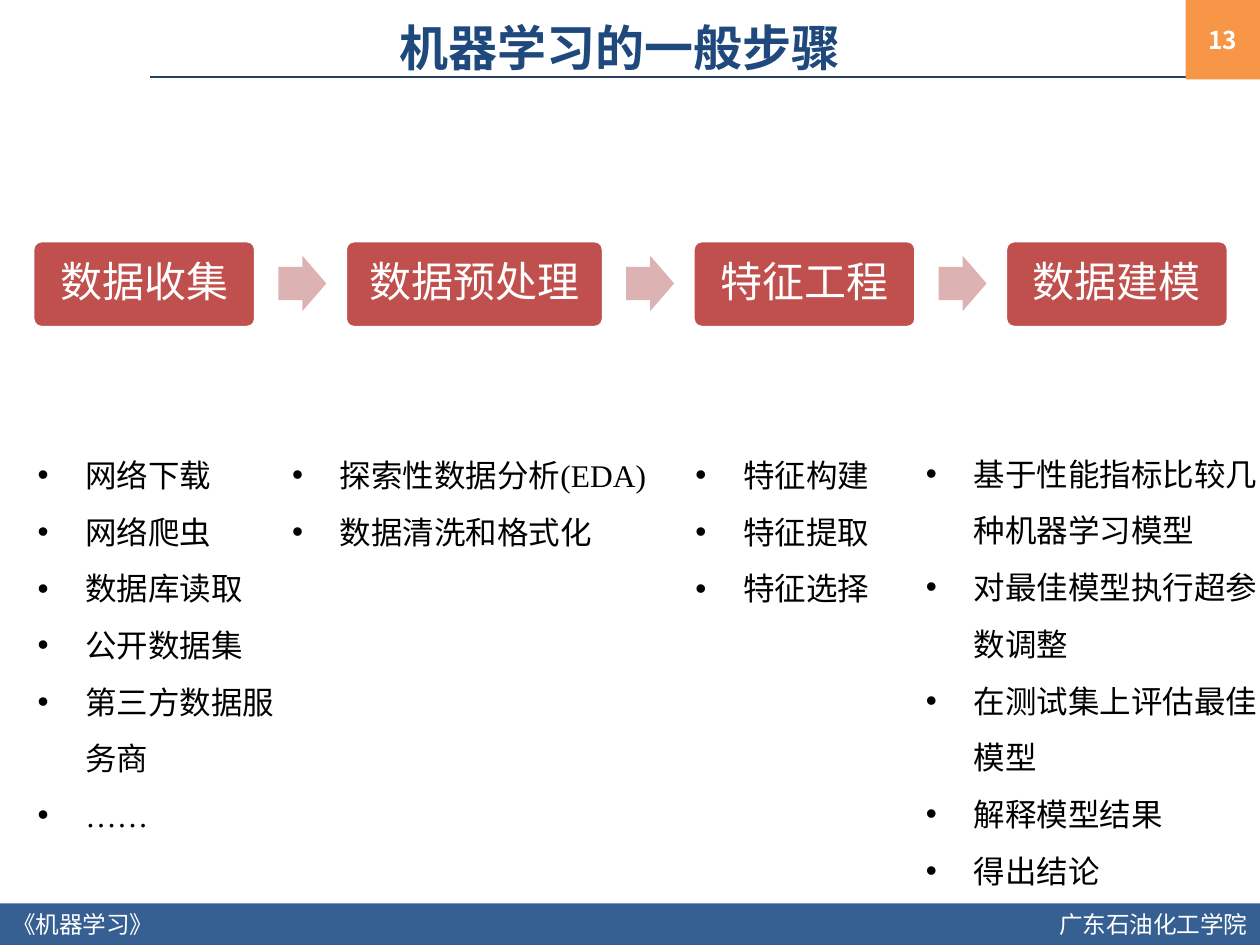
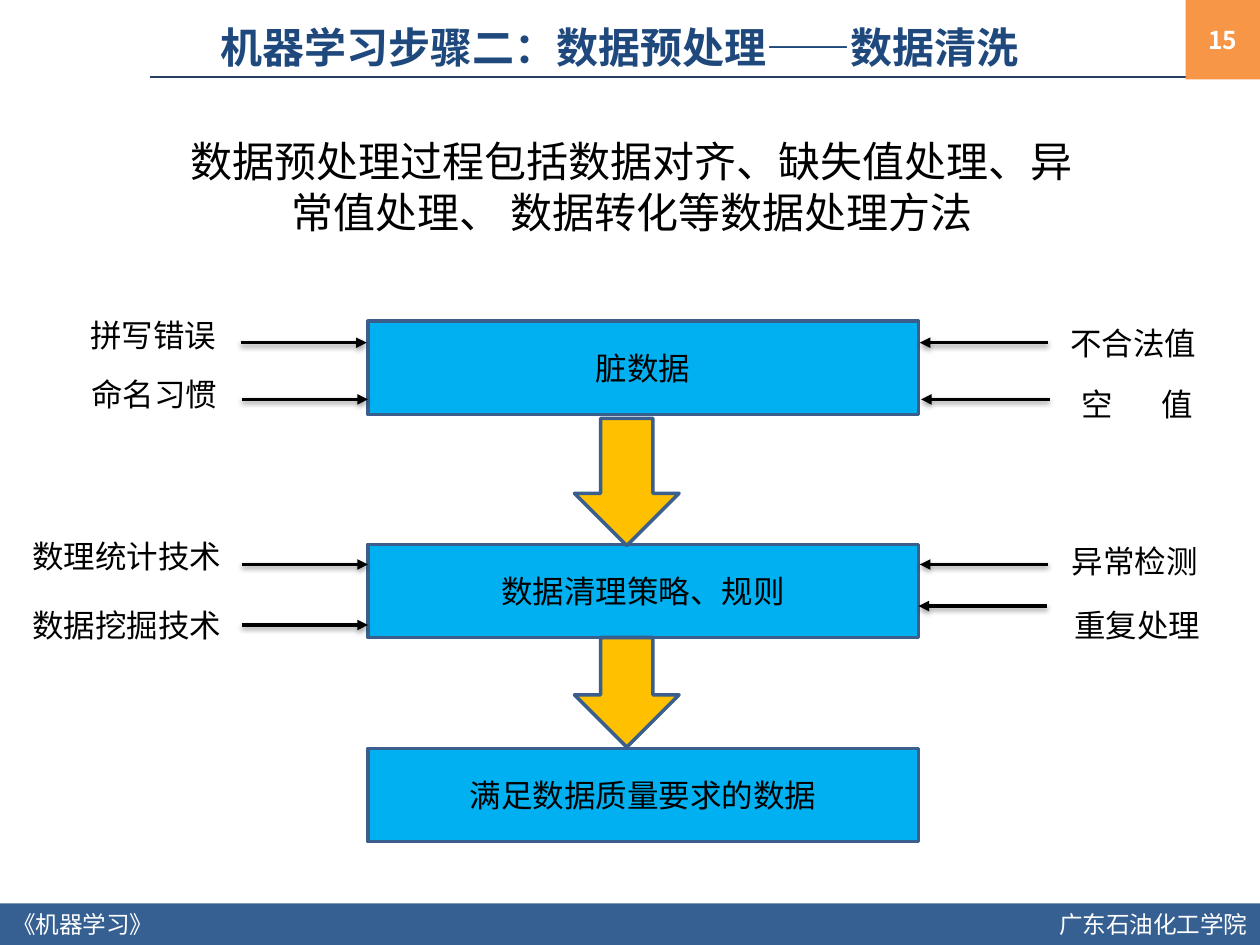
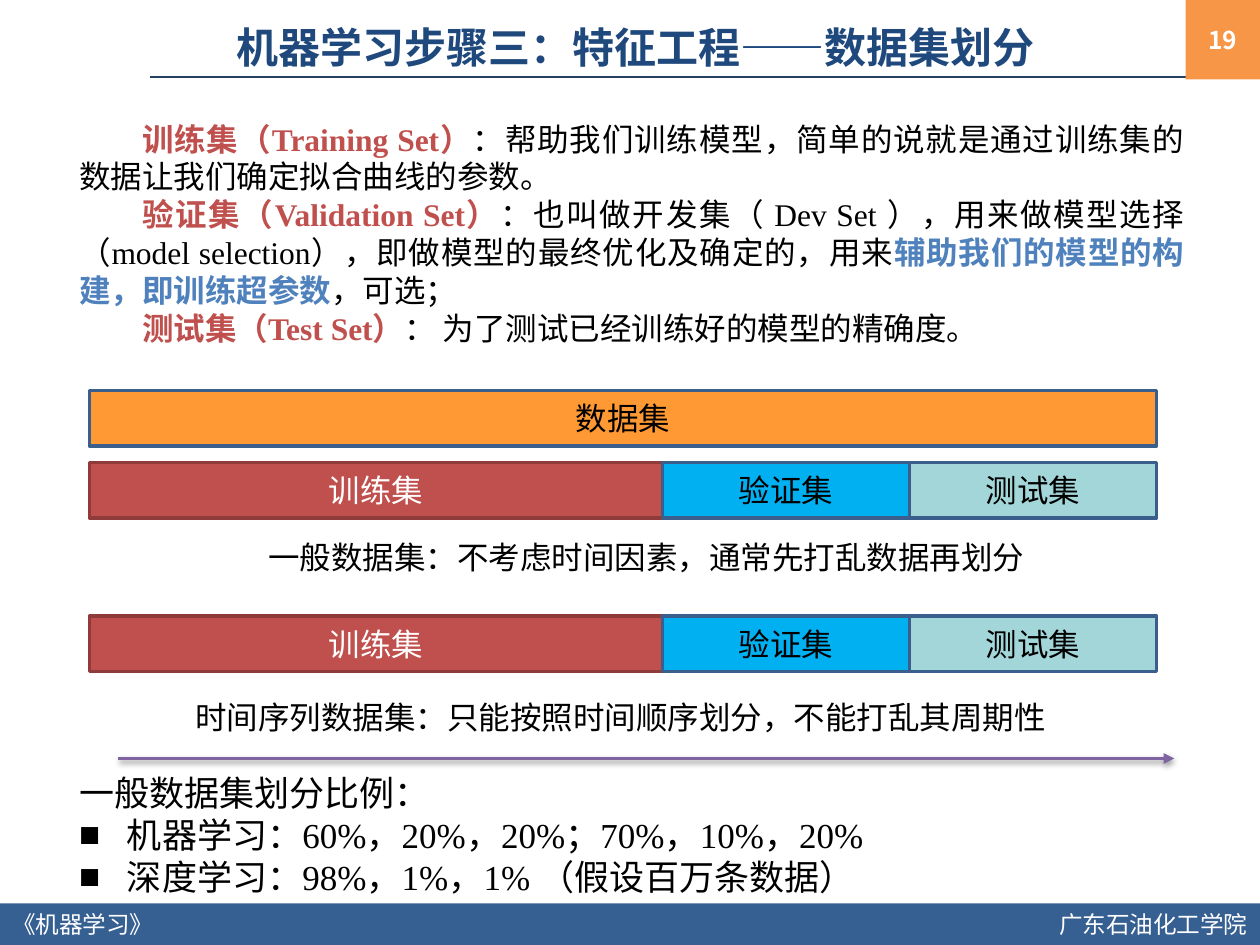
from dataclasses import dataclass

from lxml.etree import SubElement
from pptx import Presentation
from pptx.dml.color import RGBColor
from pptx.enum.shapes import MSO_CONNECTOR, MSO_SHAPE
from pptx.enum.text import MSO_ANCHOR, PP_ALIGN
from pptx.oxml.ns import qn
from pptx.util import Inches, Pt


@dataclass(frozen=True)
class Theme:
    sans: str = "Noto Sans CJK SC"
    serif: str = "Times New Roman"
    plain: str = "Arial"
    black: str = "000000"
    white: str = "FFFFFF"
    navy: str = "1F497D"
    rule: str = "254061"
    band: str = "376092"
    orange: str = "F79646"
    red: str = "C0504D"
    dark_red: str = "8E3B39"
    pink: str = "DCB3B2"
    sky: str = "00B0F0"
    outline: str = "3A5F8C"
    gold: str = "FFC000"
    amber: str = "FF9933"
    aqua: str = "A3D6D9"
    blue: str = "4F81BD"
    purple: str = "8064A2"
    title_size: float = 28
    heading_size: float = 24
    ratio_size: float = 20
    body_size: float = 18
    number_size: float = 14
    footer_size: float = 13.5


theme = Theme()
LEFT, CENTER, RIGHT, JUSTIFY = PP_ALIGN.LEFT, PP_ALIGN.CENTER, PP_ALIGN.RIGHT, PP_ALIGN.JUSTIFY
TOP, MIDDLE = MSO_ANCHOR.TOP, MSO_ANCHOR.MIDDLE


def add_box(page, place, paragraphs=(), kind=None, fill=None, line=None, font=theme.sans,
            size=theme.body_size, color=theme.black, bold=False, align=CENTER, anchor=MIDDLE,
            spacing=None, bullet=None, first_indent=0, side=0.1):
    """A paragraph is a string or a list of (text, format) spans."""
    position = [Inches(value) for value in place]
    if kind is None:
        box = page.shapes.add_textbox(*position)
    else:
        box = page.shapes.add_shape(kind, *position)
        box.shadow.inherit = False
        box.fill.solid()
        box.fill.fore_color.rgb = RGBColor.from_string(fill)
        if line:
            box.line.color.rgb = RGBColor.from_string(line)
            box.line.width = Pt(2)
        else:
            box.line.fill.background()
    frame = box.text_frame
    frame_format = {"word_wrap": True, "vertical_anchor": anchor,
                    "margin_left": Inches(side), "margin_right": Inches(side)}
    for name, value in frame_format.items():
        setattr(frame, name, value)

    for index, spans in enumerate(paragraphs):
        para = frame.add_paragraph() if index else frame.paragraphs[0]
        para.alignment = align
        if spacing:
            para.line_spacing = spacing
        properties = para._p.get_or_add_pPr()
        if first_indent:
            properties.set("indent", str(Inches(first_indent)))
        # A paragraph made of spans stands without a bullet
        if bullet and isinstance(spans, str):
            properties.set("marL", str(Inches(0.38)))
            properties.set("indent", str(Inches(-0.38)))
            SubElement(properties, qn("a:buFont")).set("typeface", theme.plain)
            SubElement(properties, qn("a:buChar")).set("char", bullet)
        for text, style in [(spans, {})] if isinstance(spans, str) else spans:
            span = para.add_run()
            span.text = text
            span_format = {"name": font, "size": Pt(size), "bold": style.get("bold", bold)}
            for name, value in span_format.items():
                setattr(span.font, name, value)
            span.font.color.rgb = RGBColor.from_string(style.get("color", color))
            run_properties = span._r.get_or_add_rPr()
            SubElement(run_properties, qn("a:ea")).set("typeface", theme.sans)
            if "tracking" in style:
                run_properties.set("spc", str(style["tracking"] * 100))
    return box


def add_line(page, start, end, color, width=2, arrow=False):
    points = [Inches(value) for value in (*start, *end)]
    connector = page.shapes.add_connector(MSO_CONNECTOR.STRAIGHT, *points)
    connector.line.color.rgb = RGBColor.from_string(color)
    connector.line.width = Pt(width)
    properties = connector._element.spPr
    if arrow:
        SubElement(properties.find(qn("a:ln")), qn("a:tailEnd")).set("type", "triangle")
    effects = SubElement(properties, qn("a:effectLst"))
    if arrow:
        shadow = SubElement(effects, qn("a:outerShdw"), blurRad=str(Pt(3.1)),
                            dist=str(Pt(1.6)), dir="5400000", rotWithShape="0")
        shade = SubElement(shadow, qn("a:srgbClr"), val=theme.black)
        SubElement(shade, qn("a:alpha"), val="38000")


deck = Presentation()
deck.slide_width = Inches(10)
deck.slide_height = Inches(7.5)

# Footer, title, rule and page number on every slide
pages = []
for number, title, title_size, title_font, title_left in (
    ("13", "机器学习的一般步骤", theme.title_size, theme.serif, 0.42),
    ("15", "机器学习步骤二：数据预处理——数据清洗", theme.heading_size, theme.sans, 0.42),
    ("19", "机器学习步骤三：特征工程——数据集划分", theme.heading_size, theme.sans, 0.67),
):
    page = deck.slides.add_slide(deck.slide_layouts[6])
    footer = {"size": theme.footer_size, "color": theme.white, "anchor": TOP}
    add_box(page, (0, 7.17, 10, 0.33), ["广东石油化工学院"], MSO_SHAPE.RECTANGLE, theme.band,
            align=RIGHT, **footer)
    add_box(page, (0, 7.17, 4.16, 0.33), ["《机器学习》"], align=LEFT, **footer)
    add_line(page, (1.19, 0.61), (9.41, 0.61), theme.rule, 1.5)
    add_box(page, (9.41, 0, 0.59, 0.63), [number], MSO_SHAPE.RECTANGLE, theme.orange,
            size=theme.number_size, color=theme.white, bold=True, side=0)
    add_box(page, (title_left, 0.08, 9.42 - title_left, 0.58), [title], font=title_font,
            size=title_size, color=theme.navy, bold=True)
    pages.append(page)
steps_page, cleaning_page, split_page = pages

# Steps: a chain of boxes with arrows in the gaps
step_left, step_gap = 0.26, 0.71
steps = (("数据收集", 1.77), ("数据预处理", 2.05), ("特征工程", 1.77), ("数据建模", 1.77))
for index, (name, width) in enumerate(steps):
    if index:
        arrow = add_box(steps_page, (step_left - 0.53, 2.03, 0.38, 0.44),
                        kind=MSO_SHAPE.RIGHT_ARROW, fill=theme.pink)
        arrow.adjustments[0] = 0.6
    step = add_box(steps_page, (step_left, 1.91, width, 0.69), [name],
                   MSO_SHAPE.ROUNDED_RECTANGLE, theme.red, theme.white,
                   size=theme.heading_size, color=theme.white, spacing=0.9)
    step.adjustments[0] = 0.1
    step_left += width + step_gap

# Steps: details under each box
for place, details in (
    ((0.2, 3.42, 2.15, 3.23),
     ["网络下载", "网络爬虫", "数据库读取", "公开数据集", "第三方数据服务商", "……"]),
    ((2.22, 3.42, 3.03, 0.95), ["探索性数据分析(EDA)", "数据清洗和格式化"]),
    ((5.42, 3.42, 1.95, 1.41), ["特征构建", "特征提取", "特征选择"]),
    ((7.25, 3.41, 2.89, 3.68),
     ["基于性能指标比较几种机器学习模型", "对最佳模型执行超参数调整",
      "在测试集上评估最佳模型", "解释模型结果", "得出结论"]),
):
    add_box(steps_page, place, details, font=theme.serif, align=LEFT, anchor=TOP,
            spacing=1.5, bullet="•")

# Cleaning: introduction
add_box(cleaning_page, (1.34, 1.03, 7.35, 0.91),
        ["数据预处理过程包括数据对齐、缺失值处理、异常值处理、 数据转化等数据处理方法"],
        font=theme.plain, size=theme.heading_size, anchor=TOP)

# Cleaning: stages and the block arrows between them
for top, name in ((2.55, "脏数据"), (4.32, "数据清理策略、规则"), (5.94, "满足数据质量要求的数据")):
    add_box(cleaning_page, (2.92, top, 4.37, 0.74), [name], MSO_SHAPE.RECTANGLE,
            theme.sky, theme.outline)
for top, height in ((3.32, 1.01), (5.06, 0.87)):
    add_box(cleaning_page, (4.56, top, 0.83, height), kind=MSO_SHAPE.DOWN_ARROW,
            fill=theme.gold, line=theme.outline)

# Cleaning: labels on both sides, each with its arrow
empty_value = [("空 ", {"tracking": 12}), ("值", {})]
for left, top, label, start, end, arrow_top in (
    (-0.02, 2.46, "拼写错误", 1.91, 2.91, 2.72),
    (-0.01, 2.93, "命名习惯", 1.92, 2.92, 3.17),
    (-0.23, 4.21, "数理统计技术", 1.92, 2.92, 4.48),
    (-0.23, 4.76, "数据挖掘技术", 1.92, 2.92, 4.96),
    (7.76, 2.52, "不合法值", 8.32, 7.3, 2.72),
    (7.79, 3.01, empty_value, 8.33, 7.31, 3.17),
    (7.77, 4.25, "异常检测", 8.32, 7.3, 4.48),
    (7.79, 4.76, "重复处理", 8.31, 7.29, 4.81),
):
    add_box(cleaning_page, (left, top, 2.47, 0.4), [label], font=theme.plain, anchor=TOP)
    add_line(cleaning_page, (start, arrow_top), (end, arrow_top), theme.black, arrow=True)

# Split: definitions
term = {"color": theme.red, "bold": True}
stress = {"color": theme.blue, "bold": True}
definitions = [
    [("训练集（Training Set）", term),
     ("：帮助我们训练模型，简单的说就是通过训练集的数据让我们确定拟合曲线的参数。", {})],
    [("验证集（Validation Set）", term),
     ("：也叫做开发集（ Dev Set ），用来做模型选择（model selection），"
      "即做模型的最终优化及确定的，用来", {}),
     ("辅助我们的模型的构建，即训练超参数", stress), ("，可选；", {})],
    [("测试集（Test Set）", term), ("： 为了测试已经训练好的模型的精确度。", {})],
]
add_box(split_page, (0.53, 0.9, 8.97, 1.92), definitions, font=theme.serif, align=JUSTIFY,
        anchor=TOP, first_indent=0.5)

# Split: the whole data set and its two divisions
add_box(split_page, (0.71, 3.1, 8.47, 0.44), ["数据集"], MSO_SHAPE.RECTANGLE,
        theme.amber, theme.outline)
for top in (3.67, 4.89):
    left = 0.71
    for name, width, fill, line, color in (
        ("训练集", 4.55, theme.red, theme.dark_red, theme.white),
        ("验证集", 1.96, theme.sky, theme.outline, theme.black),
        ("测试集", 1.96, theme.aqua, theme.outline, theme.black),
    ):
        add_box(split_page, (left, top, width, 0.44), [name], MSO_SHAPE.RECTANGLE,
                fill, line, color=color)
        left += width

# Split: captions and time axis
add_box(split_page, (1.7, 4.22, 6.86, 0.4),
        ["一般数据集：不考虑时间因素，通常先打乱数据再划分"], font=theme.plain, anchor=TOP)
add_box(split_page, (1.45, 5.49, 7.4, 0.4),
        ["时间序列数据集：只能按照时间顺序划分，不能打乱其周期性"],
        font=theme.plain, align=LEFT, anchor=TOP)
add_line(split_page, (0.94, 6.02), (9.32, 6.02), theme.purple, arrow=True)

# Split: usual ratios
ratios = [
    [("一般数据集划分比例：", {})],
    "机器学习：60%，20%，20%；70%，10%，20%",
    "深度学习：98%，1%，1% （假设百万条数据）",
]
add_box(split_page, (0.53, 6.07, 8.8, 1.11), ratios, font=theme.serif,
        size=theme.ratio_size, align=LEFT, anchor=TOP, bullet="■")

deck.save("out.pptx")
